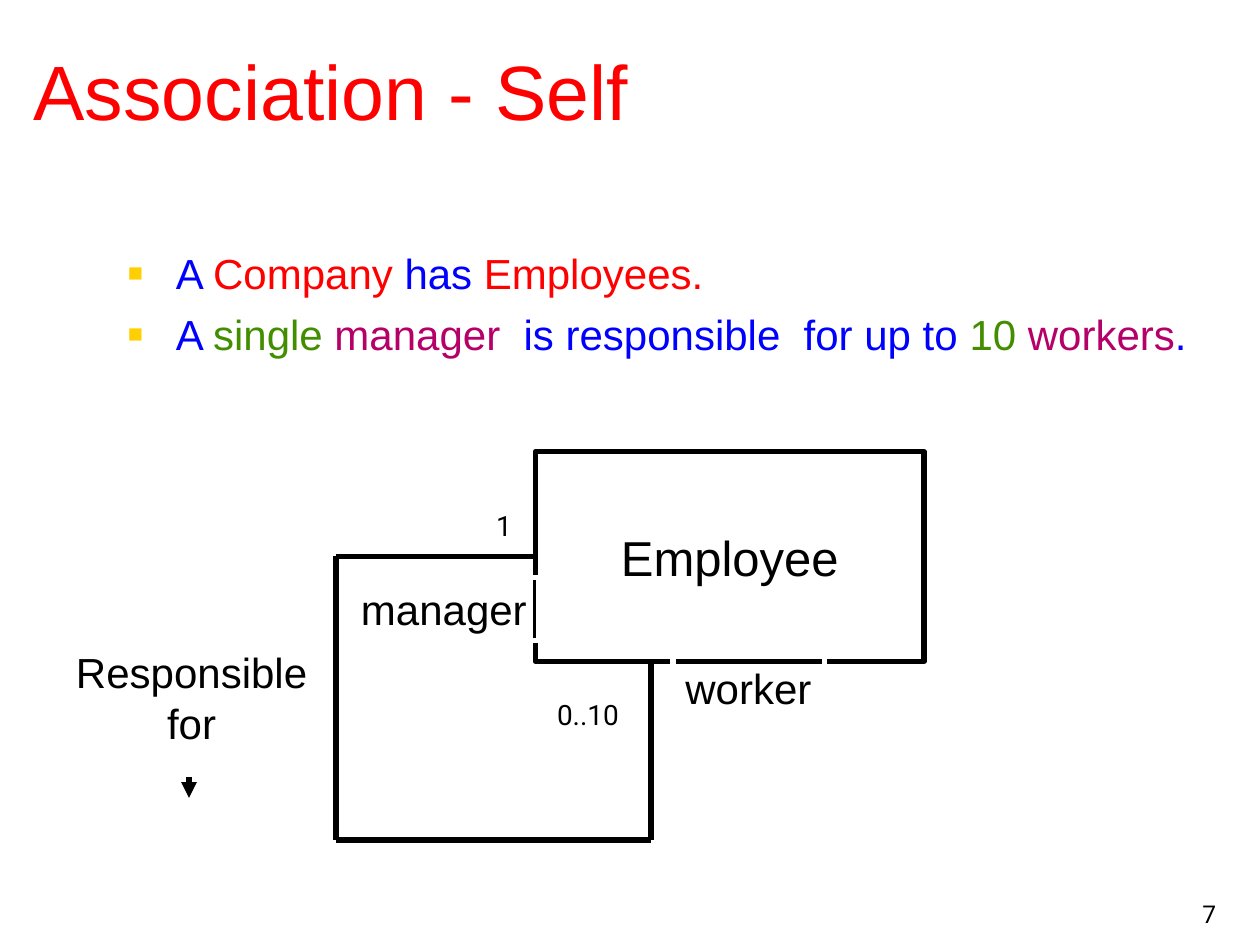
from lxml import etree
from pptx import Presentation
from pptx.dml.color import RGBColor
from pptx.enum.shapes import MSO_CONNECTOR, MSO_SHAPE
from pptx.enum.text import MSO_ANCHOR, MSO_AUTO_SIZE, PP_ALIGN
from pptx.oxml.ns import qn
from pptx.util import Inches, Pt

LEFT, CENTER, RIGHT = PP_ALIGN.LEFT, PP_ALIGN.CENTER, PP_ALIGN.RIGHT
TOP, MIDDLE, BOTTOM = MSO_ANCHOR.TOP, MSO_ANCHOR.MIDDLE, MSO_ANCHOR.BOTTOM
RECTANGLE, STRAIGHT = MSO_SHAPE.RECTANGLE, MSO_CONNECTOR.STRAIGHT
BLACK, WHITE, RED, BLUE = "000000", "FFFFFF", "FF0000", "0000FF"
GREEN, PURPLE, GOLD = "438E00", "B50069", "FFCF01"

presentation = Presentation()
presentation.slide_width, presentation.slide_height = Inches(10), Inches(7.5)
slide = presentation.slides.add_slide(presentation.slide_layouts[5])
UNIT = presentation.slide_width / 120  # grid of 120 columns by 90 rows


def color(value):
    return RGBColor.from_string(value)


def write(shape, lines, size, font="Arial", align=LEFT, anchor=TOP, wrap=True):
    """Fill a shape with paragraphs, each a list of (text, colour) runs."""
    frame = shape.text_frame
    frame.auto_size = MSO_AUTO_SIZE.NONE
    frame.word_wrap, frame.vertical_anchor = wrap, anchor
    for index, runs in enumerate(lines):
        paragraph = frame.add_paragraph() if index else frame.paragraphs[0]
        paragraph.alignment = align
        for text, run_color in runs:
            run = paragraph.add_run()
            run.text = text
            run.font.name, run.font.size = font, Pt(size)
            run.font.color.rgb = color(run_color)


# Title
title = slide.shapes.title
title.left, title.top, title.width, title.height = (
    round(n * UNIT) for n in (2, 2, 115.3, 13))
title.fill.solid()
title.fill.fore_color.rgb = color(WHITE)
write(title, [[("Association - Self", RED)]], 44, anchor=MIDDLE)

# Bulleted statements
body = slide.shapes.add_textbox(*(round(n * UNIT) for n in (11, 22, 106, 58.4)))
write(body, [
    [("A ", BLUE), ("Company ", RED), ("has ", BLUE), ("Employees.", RED)],
    [("A ", BLUE), ("single ", GREEN), ("manager  ", PURPLE),
     ("is responsible  for up to ", BLUE), ("10 ", GREEN),
     ("workers", PURPLE), (".", BLUE)],
], 24)
for index, paragraph in enumerate(body.text_frame.paragraphs):
    properties = paragraph._p.get_or_add_pPr()
    properties.set("marL", str(Inches(0.38)))
    properties.set("indent", str(-Inches(0.38)))
    bullet_color = etree.SubElement(properties, qn("a:buClr"))
    etree.SubElement(bullet_color, qn("a:srgbClr"), val=GOLD)
    etree.SubElement(properties, qn("a:buSzPct"), val="60000")
    etree.SubElement(properties, qn("a:buFont"), typeface="Arial")
    etree.SubElement(properties, qn("a:buChar"), char="■")
    if index:
        paragraph.space_before = Pt(6)
body.text_frame.margin_top = Inches(0.05) + Pt(6)

# Class box, then the association loop from its left side to its bottom
employee = slide.shapes.add_shape(
    RECTANGLE, *(round(n * UNIT) for n in (51, 43, 37, 20)))
employee.shadow.inherit = False
employee.fill.solid()
employee.fill.fore_color.rgb = color(WHITE)
employee.line.color.rgb, employee.line.width = color(BLACK), Pt(3)
write(employee, [[("Employee", BLACK)]], 28, align=CENTER, anchor=MIDDLE, wrap=False)

loop = [(51, 53), (32, 53), (32, 80), (62, 80), (62, 63)]
direction = ((18, 74), (18, 76))
for start, end in [*zip(loop, loop[1:]), direction]:
    connector = slide.shapes.add_connector(
        STRAIGHT, *(round(n * UNIT) for n in start + end))
    connector.line.color.rgb, connector.line.width = color(BLACK), Pt(3)
    if (start, end) == direction:
        etree.SubElement(connector.line._get_or_add_ln(), qn("a:tailEnd"), type="triangle")
    etree.SubElement(connector._element.spPr, qn("a:effectLst"))

# Role names, whose white outlines cut into the class box
for text, left, top, width in (("manager", 33.2, 55, 18.1), ("worker", 64.1, 62.5, 14.4)):
    role = slide.shapes.add_shape(
        RECTANGLE, *(round(n * UNIT) for n in (left, top, width, 6)))
    role.shadow.inherit = False
    role.fill.background()
    role.line.color.rgb, role.line.width = color(WHITE), Pt(3)
    write(role, [[(text, BLACK)]], 24, wrap=False)

# Association name, multiplicities and page number
for lines, box, size, font, align, anchor, wrap in (
    (("Responsible", "for"), (6, 61, 24.5, 10.8), 24, "Arial", CENTER, TOP, True),
    (("1",), (46.1, 47.8, 3.8, 4.4), 16, "Roboto", CENTER, TOP, False),
    (("0..10",), (51.8, 65.8, 8.4, 4.4), 16, "Roboto", CENTER, TOP, False),
    (("7",), (92, 83, 25, 6), 14, "Roboto", RIGHT, BOTTOM, True),
):
    label = slide.shapes.add_textbox(*(round(n * UNIT) for n in box))
    write(label, [[(line, BLACK)] for line in lines], size, font, align, anchor, wrap)

presentation.save("out.pptx")
